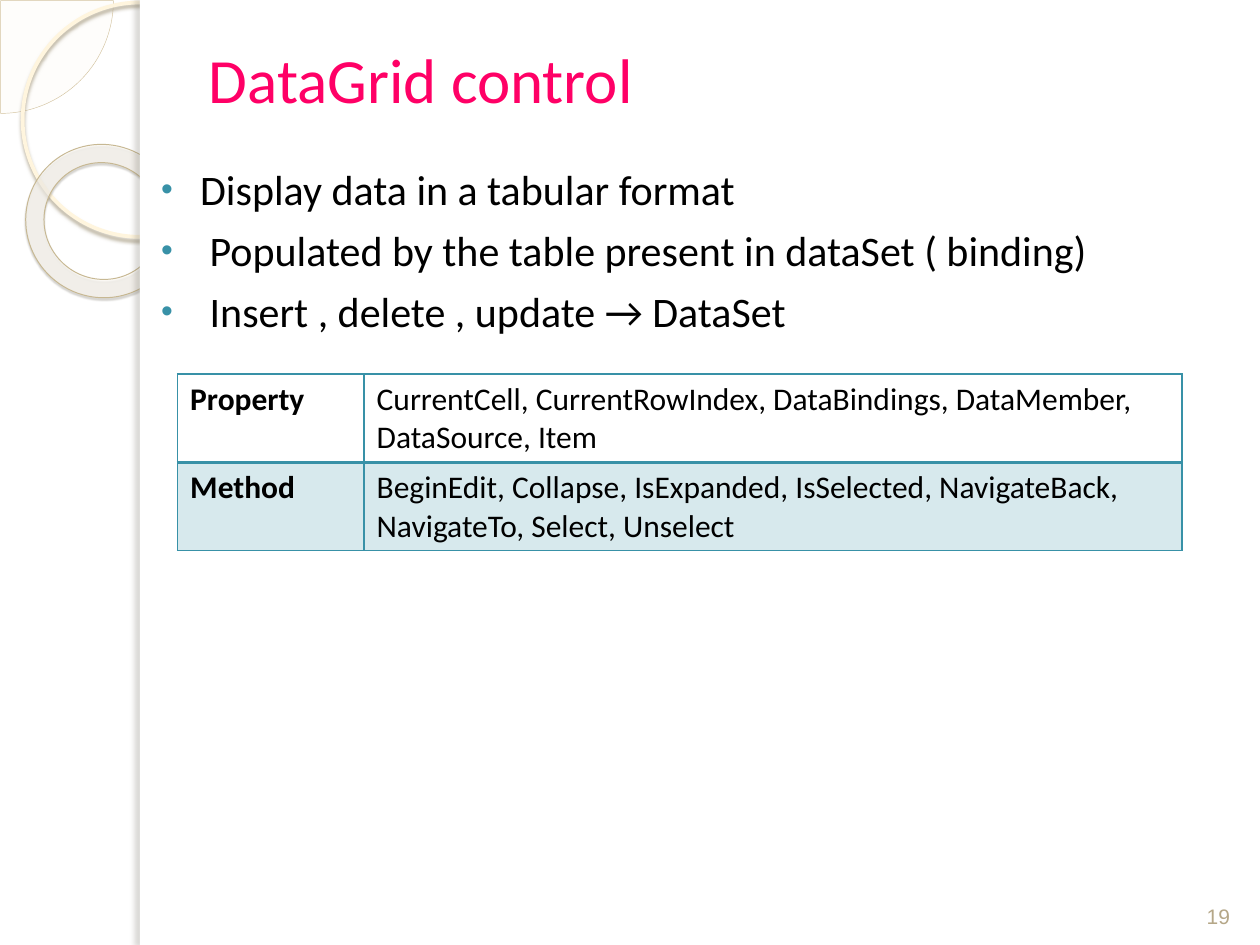
from dataclasses import dataclass
from typing import Any

from lxml import etree
from pptx import Presentation
from pptx.dml.color import RGBColor
from pptx.enum.shapes import MSO_SHAPE
from pptx.enum.text import MSO_ANCHOR, PP_ALIGN
from pptx.oxml.ns import qn
from pptx.util import Inches, Pt

PIE, ELLIPSE, DONUT, RECTANGLE = (
    MSO_SHAPE.PIE, MSO_SHAPE.OVAL, MSO_SHAPE.DONUT, MSO_SHAPE.RECTANGLE)
TOP, MIDDLE, BOTTOM = MSO_ANCHOR.TOP, MSO_ANCHOR.MIDDLE, MSO_ANCHOR.BOTTOM
LEFT, CENTER = PP_ALIGN.LEFT, PP_ALIGN.CENTER

WHITE = RGBColor(0xFF, 0xFF, 0xFF)
BLACK = RGBColor(0x00, 0x00, 0x00)
PINK = RGBColor(0xFF, 0x00, 0x66)
TEAL = RGBColor(0x38, 0x91, 0xA7)
TAN = RGBColor(0xB5, 0xA7, 0x88)
CREAM = RGBColor(0xFE, 0xFA, 0xF4)
IVORY = RGBColor(0xFF, 0xFC, 0xF6)
SAND = RGBColor(0xD3, 0xC3, 0x9F)
RING = RGBColor(0xFF, 0xF5, 0xDE)
KHAKI = RGBColor(0xC7, 0xB8, 0x93)
RING_SHADOW = RGBColor(0xB0, 0xA6, 0x8F)
DONUT_SHADOW = RGBColor(0x5A, 0x54, 0x44)
PANEL_SHADOW = RGBColor(0x73, 0x6F, 0x63)

COLUMNS, ROWS = 100, 75


def child(parent, tag, **attributes):
    """Append a drawing element with the given attributes."""
    element = etree.SubElement(parent, qn(tag))
    for name, value in attributes.items():
        element.set(name, str(value))
    return element


def set_opacity(fill_parent, percent):
    """Make the solid fill of an element partly transparent."""
    color = fill_parent.find(qn("a:solidFill")).find(qn("a:srgbClr"))
    child(color, "a:alpha", val=percent * 1000)


def write(para, text, size=18, font="Calibri", color=BLACK, bold=False, align=LEFT):
    """Add formatted text to a paragraph."""
    para.alignment = align
    span = para.add_run()
    span.text = text
    span.font.size = Pt(size)
    span.font.name = font
    span.font.bold = bold
    span.font.color.rgb = color


@dataclass
class Sheet:
    """Draw styled elements on one slide, measured in grid columns and rows."""
    page: Any
    cell_width: int
    cell_height: int
    accent: RGBColor = TEAL

    def place(self, left, top, width, height):
        """Turn grid units into slide lengths."""
        return (int(left * self.cell_width), int(top * self.cell_height),
                int(width * self.cell_width), int(height * self.cell_height))

    def shape(self, kind, area, fill=None, opacity=100, line=None, weight=1,
              adjustments=(), rotation=0, shadow=None):
        """Add a preset shape."""
        shape = self.page.shapes.add_shape(kind, *self.place(*area))
        shape.rotation = rotation
        for index, value in enumerate(adjustments):
            shape.adjustments[index] = value
        if fill is None:
            shape.fill.background()
        else:
            shape.fill.solid()
            shape.fill.fore_color.rgb = fill
            set_opacity(shape.element.spPr, opacity)
        if line is None:
            shape.line.fill.background()
        else:
            shape.line.color.rgb = line
            shape.line.width = Pt(weight)
        shape.shadow.inherit = False
        if shadow:
            self.cast(shape, *shadow)

    def cast(self, shape, color, opacity, blur, distance, angle):
        """Give a shape an outer shadow."""
        effects = shape.element.spPr.find(qn("a:effectLst"))
        outer = child(effects, "a:outerShdw", blurRad=Pt(blur), dist=Pt(distance),
                      dir=angle * 60000, algn="ctr", rotWithShape=0)
        tint = child(outer, "a:srgbClr", val=color)
        child(tint, "a:alpha", val=opacity * 1000)

    def text(self, area, lines, anchor=TOP, bullets=False, **style):
        """Add a text box with one paragraph per line."""
        box = self.page.shapes.add_textbox(*self.place(*area))
        frame = box.text_frame
        frame.word_wrap = True
        frame.vertical_anchor = anchor
        for index, line in enumerate(lines):
            para = frame.add_paragraph() if index else frame.paragraphs[0]
            if bullets:
                self.bullet(para)
            write(para, line, **style)

    def bullet(self, para):
        """Give a paragraph an accent bullet and a hanging indent."""
        para.space_before = Pt(6)
        settings = para._p.get_or_add_pPr()
        settings.set("marL", str(Inches(0.4)))
        settings.set("indent", str(-Inches(0.31)))
        child(child(settings, "a:buClr"), "a:srgbClr", val=self.accent)
        child(settings, "a:buSzPct", val=80000)
        child(settings, "a:buFont", typeface="Arial")
        child(settings, "a:buChar", char="•")

    def table(self, area, widths, entries):
        """Add a table with a bold first column and tinted odd rows."""
        frame = self.page.shapes.add_table(len(entries), len(widths), *self.place(*area))
        table = frame.table
        table.first_row = table.horz_banding = False
        for column, width in zip(table.columns, widths):
            column.width = int(width * self.cell_width)
        for row, entry in enumerate(entries):
            for column, text in enumerate(entry):
                cell = table.cell(row, column)
                write(cell.text_frame.paragraphs[0], text, bold=column == 0)
                divider = 2 if row < len(entries) - 1 else 1
                self.borders(cell, L=1, R=1, T=2 if row else 1, B=divider)
                if row % 2:
                    cell.fill.solid()
                    cell.fill.fore_color.rgb = self.accent
                    set_opacity(cell._tc.tcPr, 20)
                else:
                    cell.fill.background()

    def borders(self, cell, **weights):
        """Draw accent lines on the named sides of a cell."""
        settings = cell._tc.get_or_add_tcPr()
        for side, weight in weights.items():
            line = child(settings, f"a:ln{side}", w=Pt(weight))
            child(child(line, "a:solidFill"), "a:srgbClr", val=self.accent)


deck = Presentation()
deck.slide_width, deck.slide_height = Inches(10), Inches(7.5)
page = deck.slides.add_slide(deck.slide_layouts[6])
sheet = Sheet(page, deck.slide_width // COLUMNS, deck.slide_height // ROWS)

sheet.shape(PIE, (-8.9, -8.9, 17.9, 17.9), fill=CREAM, opacity=33, line=SAND,
            weight=0.25, adjustments=(0, 54))
sheet.shape(ELLIPSE, (1.8, 0.2, 18.6, 18.6), line=RING, weight=2.15,
            shadow=(RING_SHADOW, 85, 2, 2, 90))
sheet.shape(DONUT, (2, 11.5, 12.3, 12.1), fill=IVORY, opacity=60, line=KHAKI,
            weight=0.58, adjustments=(0.12,), rotation=38.6,
            shadow=(DONUT_SHADOW, 35, 1, 1.2, 75))
sheet.shape(RECTANGLE, (11.1, 0, 88.9, ROWS), fill=WHITE)
sheet.shape(RECTANGLE, (11.1, 0, 0.8, ROWS), fill=WHITE,
            shadow=(PANEL_SHADOW, 25, 3, 3, 180))

sheet.text((15.6, 0, 82, 12.5), ["DataGrid control"], anchor=MIDDLE, size=36, color=PINK)
sheet.text((10.9, 12.5, 86.8, 55.8), [
    "Display data in a tabular format",
    " Populated by the table present in dataSet ( binding)",
    " Insert , delete , update → DataSet",
], bullets=True, size=24)
sheet.text((94.2, 69, 5, 5.2), ["19"], anchor=BOTTOM, size=12, font="Arial",
           color=TAN, align=CENTER)
sheet.table((14.1, 29.7, 79.7, 14), (14.8, 64.9), [
    ("Property", "CurrentCell, CurrentRowIndex, DataBindings, DataMember, DataSource, Item"),
    ("Method", "BeginEdit, Collapse, IsExpanded, IsSelected, NavigateBack, "
               "NavigateTo, Select, Unselect"),
])

deck.save("out.pptx")
